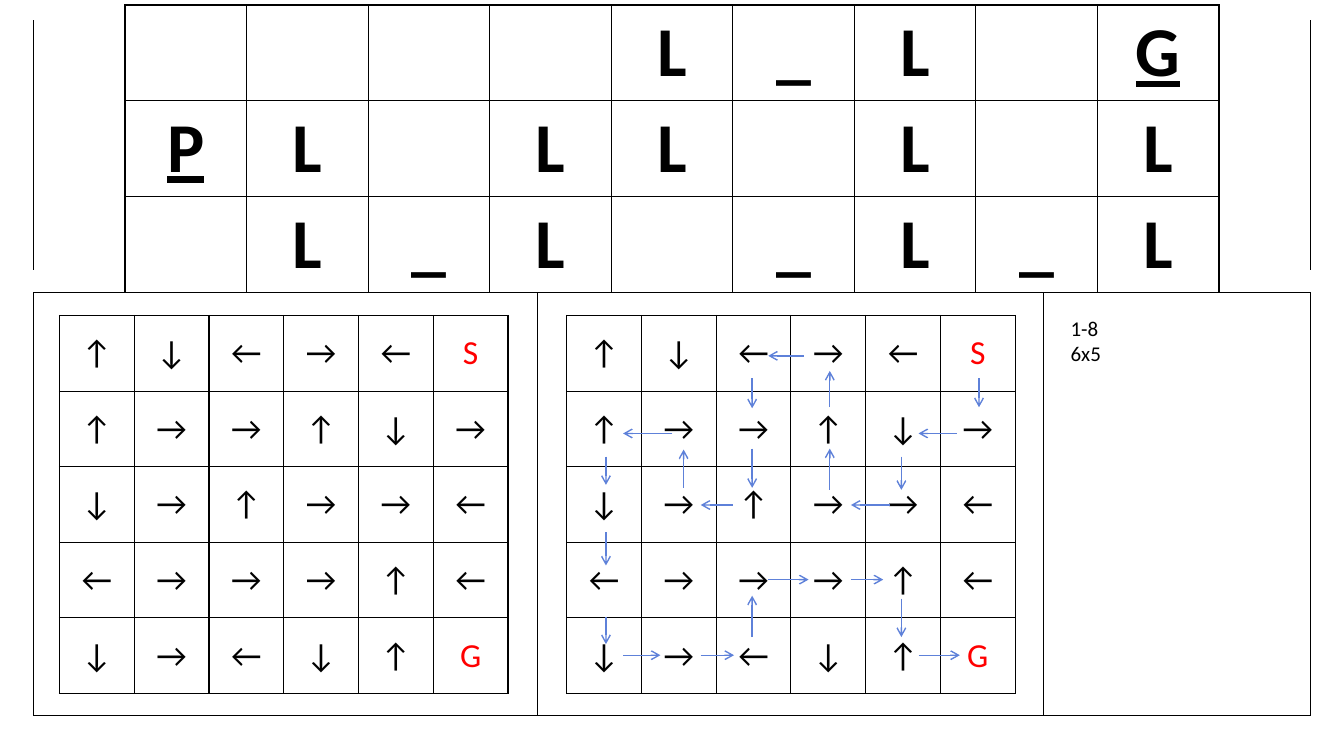
from pptx import Presentation
from pptx import util as u
from pptx.dml.color import RGBColor
from pptx.enum import shapes, text
from pptx.oxml import parse_xml
from pptx.oxml.ns import nsdecls

BLACK, WHITE, RED, BLUE = "000000", "FFFFFF", "FF0000", "5E81D9"


def color(hex_value):
    return RGBColor.from_string(hex_value)


def write(paragraph, content, size=24, fill=BLACK, bold=False, underline=False,
          align=text.PP_ALIGN.CENTER, font="Calibri"):
    paragraph.alignment = align
    run = paragraph.add_run()
    run.text = content
    run.font.name = font
    run.font.size = u.Pt(size)
    run.font.bold = bold
    run.font.underline = underline
    run.font.color.rgb = color(fill)


class Board:
    """Holds the line style and the current slide."""

    def __init__(self, slide, line_width=1):
        self.slide = slide
        self.line_width = u.Pt(line_width)

    def line(self, x1, y1, x2, y2, stroke=BLACK, arrow=False):
        connector = self.slide.shapes.add_connector(
            shapes.MSO_CONNECTOR.STRAIGHT, *map(u.Inches, (x1, y1, x2, y2)))
        connector.line.color.rgb = color(stroke)
        connector.line.width = self.line_width
        if arrow:
            connector.line._get_or_add_ln().append(
                parse_xml(f'<a:tailEnd {nsdecls("a")} type="arrow"/>'))
        connector._element.spPr.append(parse_xml(f'<a:effectLst {nsdecls("a")}/>'))

    def border(self, cell):
        properties = cell._tc.get_or_add_tcPr()
        for index, side in enumerate(("lnL", "lnR", "lnT", "lnB")):
            properties.insert(index, parse_xml(
                f'<a:{side} {nsdecls("a")} w="{self.line_width}"><a:solidFill>'
                f'<a:srgbClr val="{BLACK}"/></a:solidFill></a:{side}>'))

    def grid(self, rows, left, top, width, row_height, cell_fill=None, formats=None, **base):
        """Draw one character per cell; formats maps a character to its own format."""
        count = len(rows[0])
        frame = self.slide.shapes.add_table(
            len(rows), count, u.Inches(left), u.Inches(top),
            u.Inches(width), u.Inches(row_height * len(rows)))
        table = frame.table
        table.first_row = table.horz_banding = False
        for column in table.columns:
            column.width = u.Inches(width / count)
        for row, marks in zip(table.rows, rows):
            row.height = u.Inches(row_height)
            for cell, mark in zip(row.cells, marks):
                cell.vertical_anchor = text.MSO_ANCHOR.MIDDLE
                if cell_fill:
                    cell.fill.solid()
                    cell.fill.fore_color.rgb = color(cell_fill)
                else:
                    cell.fill.background()
                self.border(cell)
                if mark != " ":
                    write(cell.text_frame.paragraphs[0], mark,
                          **base, **(formats or {}).get(mark, {}))

    def note(self, lines, left, top, width, height, **style):
        box = self.slide.shapes.add_textbox(*map(u.Inches, (left, top, width, height)))
        frame = box.text_frame
        frame.word_wrap = True
        for index, content in enumerate(lines):
            paragraph = frame.add_paragraph() if index else frame.paragraphs[0]
            write(paragraph, content, align=text.PP_ALIGN.LEFT, **style)


LETTERS = ["    L_L G",
           "PL LL L L",
           " L_L _L_L"]
MAZE = ["↑↓←→←S",
        "↑→→↑↓→",
        "↓→↑→→←",
        "←→→→↑←",
        "↓→←↓↑G"]

# Arrows of the route, grouped by the line they lie on: (start, end) pairs
VERTICAL_STEPS = {
    9.71: [(3.75, 4.04)],
    8.94: [(4.53, 4.86), (5.94, 6.32)],
    8.23: [(4.86, 4.45), (4.04, 3.68)],
    7.46: [(3.75, 4.05), (4.45, 4.84), (6.32, 5.91)],
    6.78: [(4.84, 4.46)],
    6.01: [(4.53, 4.81), (5.28, 5.61), (6.12, 6.39)],
}
HORIZONTAL_STEPS = {
    3.53: [(7.97, 7.62)],
    4.3: [(9.49, 9.11), (6.67, 6.18)],
    5.01: [(8.83, 8.44), (7.27, 6.95)],
    5.75: [(7.62, 8.02), (8.44, 8.76)],
    6.5: [(6.18, 6.55), (6.95, 7.28), (9.11, 9.52)],
}


def main():
    presentation = Presentation()
    presentation.slide_width = u.Inches(13.33)
    presentation.slide_height = u.Inches(7.5)
    board = Board(presentation.slides.add_slide(presentation.slide_layouts[6]))

    # Frame: upper side lines, then the three lower panels
    left, right, top, bottom = 0.33, 13, 2.9, 7.1
    for x in (left, right):
        board.line(x, 0.2, x, 2.68)
    for x in (left, 5.33, 10.35, right):
        board.line(x, top, x, bottom)
    for y in (top, bottom):
        board.line(left, y, right, y)

    # Letter grid
    underlined = {"underline": True}
    board.grid(LETTERS, 1.24, 0.05, 10.85, 0.95, cell_fill=WHITE,
               formats={"G": underlined, "P": underlined}, size=50, bold=True)

    # Puzzle and solution mazes
    red = {"fill": RED}
    for maze_left in (0.59, 5.62):
        board.grid(MAZE, maze_left, 3.13, 4.45, 0.75, formats={"S": red, "G": red})

    # Route through the solution
    for x, steps in VERTICAL_STEPS.items():
        for start, end in steps:
            board.line(x, start, x, end, BLUE, arrow=True)
    for y, steps in HORIZONTAL_STEPS.items():
        for start, end in steps:
            board.line(start, y, end, y, BLUE, arrow=True)

    # Puzzle number and size
    board.note(["1-8", "6x5"], 10.52, 3.08, 2.36, 0.59, size=15)

    presentation.save("out.pptx")


if __name__ == "__main__":
    main()
